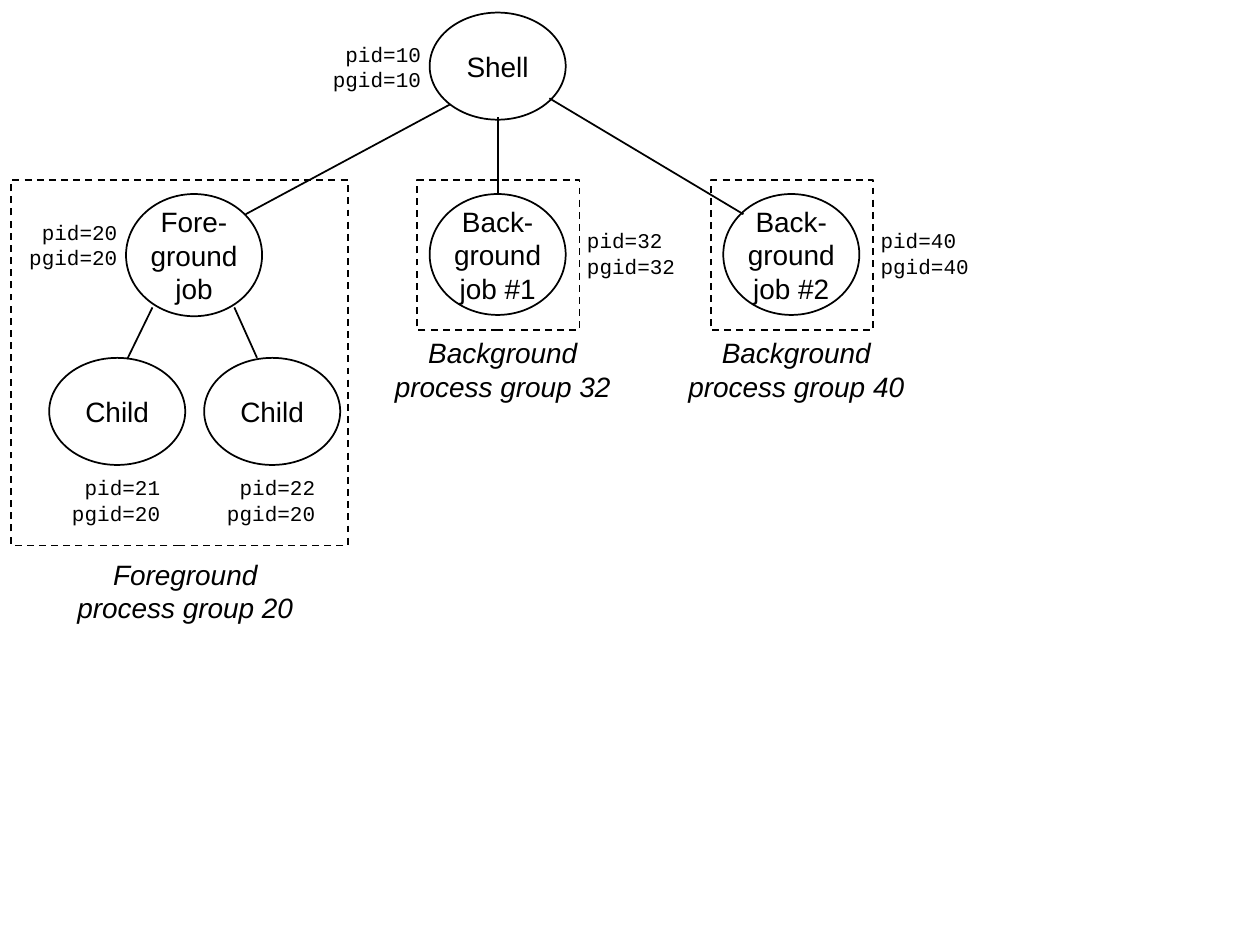
import pptx
import pptx.dml.color
import pptx.enum.dml
import pptx.enum.shapes
import pptx.enum.text
import pptx.oxml
import pptx.util
from pptx.util import Inches

SHAPES = pptx.enum.shapes.MSO_SHAPE
ALIGN = pptx.enum.text.PP_ALIGN
INK = "000000"
PAPER = "FFFFFF"
NAME_FORMAT = {"name": "Arial", "size": pptx.util.Pt(16)}
CAPTION_FORMAT = {**NAME_FORMAT, "italic": True}
ID_FORMAT = {"name": "Courier New", "size": pptx.util.Pt(12)}


def colour(value):
    return pptx.dml.color.RGBColor.from_string(value)


def write(frame, lines, align, font_format):
    """Put one paragraph per line into a text frame, centred vertically."""
    frame.word_wrap = False
    frame.vertical_anchor = pptx.enum.text.MSO_ANCHOR.MIDDLE
    for index, line in enumerate(lines):
        para = frame.paragraphs[0] if index == 0 else frame.add_paragraph()
        para.alignment = align
        span = para.add_run()
        span.text = line
        for key, value in font_format.items():
            setattr(span.font, key, value)
        span.font.color.rgb = colour(INK)


def add_outlined(page, kind, left, top, width, height):
    shape = page.shapes.add_shape(
        kind, Inches(left), Inches(top), Inches(width), Inches(height))
    shape.shadow.inherit = False
    shape.line.color.rgb = colour(INK)
    shape.line.width = pptx.util.Pt(1)
    return shape


def add_process(page, left, top, lines, height=0.85):
    oval = add_outlined(page, SHAPES.OVAL, left, top, 1.08, height)
    oval.fill.solid()
    oval.fill.fore_color.rgb = colour(PAPER)
    write(oval.text_frame, lines, ALIGN.CENTER, NAME_FORMAT)
    return oval


def add_group_frame(page, left, top, width, height):
    frame = add_outlined(page, SHAPES.RECTANGLE, left, top, width, height)
    frame.fill.background()
    frame.line.dash_style = pptx.enum.dml.MSO_LINE.DASH


def add_label(page, left, top, width, height, lines, align, font_format):
    box = page.shapes.add_textbox(
        Inches(left), Inches(top), Inches(width), Inches(height))
    write(box.text_frame, lines, align, font_format)


def add_ids(page, left, top, pid, pgid, align=ALIGN.RIGHT):
    lines = [f"pid={pid}", f"pgid={pgid}"]
    add_label(page, left, top, 0.91, 0.5, lines, align, ID_FORMAT)


def add_caption(page, left, top, kind, pgid):
    lines = [kind, f"process group {pgid}"]
    add_label(page, left, top, 1.92, 0.64, lines, ALIGN.CENTER, CAPTION_FORMAT)


def add_link(page, start, end):
    link = page.shapes.add_connector(
        pptx.enum.shapes.MSO_CONNECTOR.STRAIGHT,
        *(Inches(value) for value in (*start, *end)))
    link.line.color.rgb = colour(INK)
    link.line.width = pptx.util.Pt(1)
    properties = link._element.spPr
    properties.append(pptx.oxml.parse_xml(
        '<a:effectLst xmlns:a='
        '"http://schemas.openxmlformats.org/drawingml/2006/main"/>'))
    return link


def draw_shell(page, left, top):
    add_process(page, left, top, ["Shell"])
    add_ids(page, left - 0.88, top + 0.18, 10, 10)


def draw_foreground_group(page, left, top, width, height):
    add_group_frame(page, left, top, width, height)
    add_process(page, left + 0.91, top + 0.11, ["Fore-", "ground", "job"], 0.97)
    add_ids(page, left + 0.03, top + 0.26, 20, 20)
    for index, pid in enumerate([21, 22]):
        child_left = left + 0.3 + index * 1.23
        add_process(page, child_left, top + 1.41, ["Child"])
        add_ids(page, child_left + 0.07, top + 2.29, pid, 20)
    add_link(page, (left + 1.12, top + 1.01), (left + 0.92, top + 1.42))
    add_link(page, (left + 1.77, top + 1.01), (left + 1.95, top + 1.41))
    add_caption(page, left + 0.42, top + height + 0.04, "Foreground", 20)


def draw_background_group(page, left, top, width, height, number, pgid):
    """Draw one background job in its frame and return the job's oval."""
    add_group_frame(page, left, top, width, height)
    job = add_process(page, left + 0.1, top + 0.11,
                      ["Back-", "ground", f"job #{number}"], 0.96)
    add_ids(page, left + width - 0.04, top + 0.33, pgid, pgid, ALIGN.LEFT)
    add_caption(page, left - 0.28, top + height - 0.01, "Background", pgid)
    return job


def main():
    deck = pptx.Presentation()
    deck.slide_width, deck.slide_height = Inches(10), Inches(7.5)
    page = deck.slides.add_slide(deck.slide_layouts[6])

    groups_top = 1.43
    draw_shell(page, 3.41, 0.1)
    draw_foreground_group(page, 0.09, groups_top, 2.67, 2.9)
    first_job, _ = [
        draw_background_group(page, left, groups_top, 1.29, 1.19, number, pgid)
        for number, (left, pgid) in enumerate([(3.31, 32), (5.64, 40)], 1)]

    add_link(page, (3.57, 0.83), (1.95, 1.7))
    add_link(page, (3.95, 0.93), (3.95, 1.54)).end_connect(first_job, 0)
    add_link(page, (4.36, 0.78), (5.9, 1.7))
    deck.save("out.pptx")


if __name__ == "__main__":
    main()
